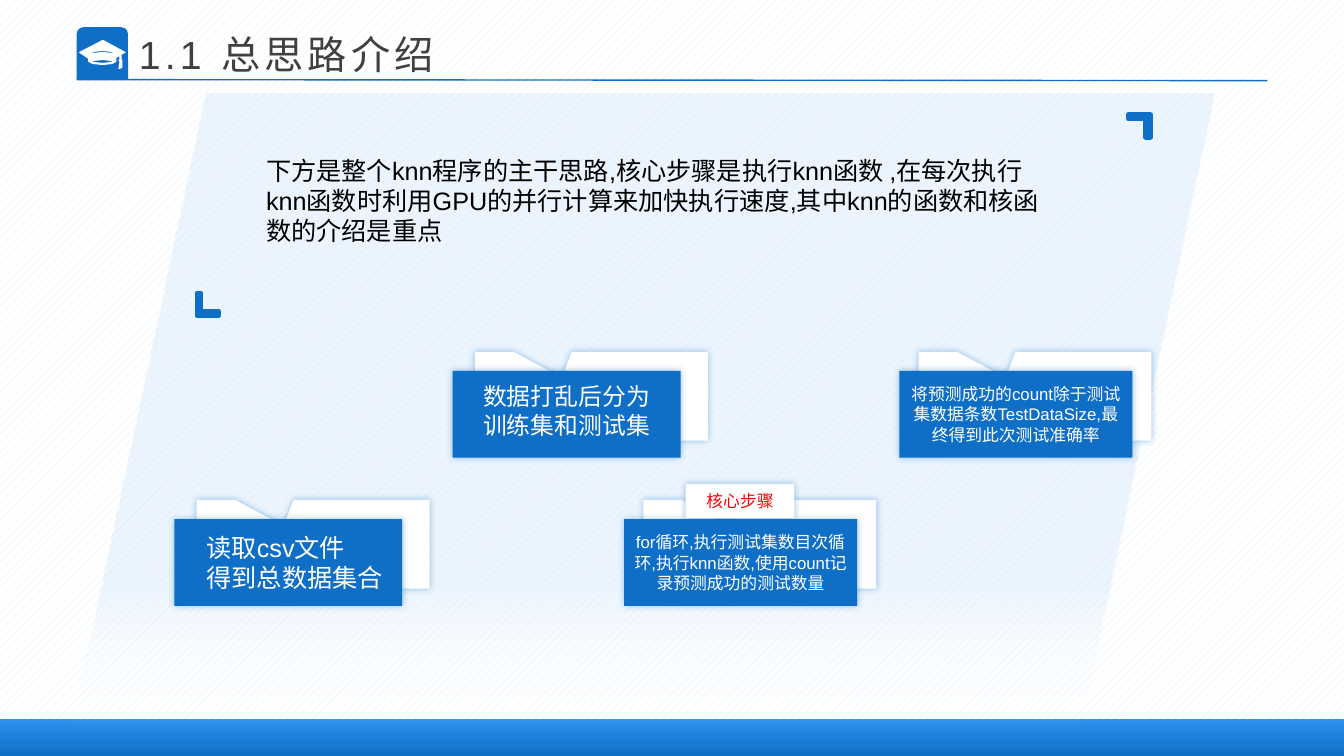
from dataclasses import dataclass

from lxml import etree
from pptx import Presentation
from pptx.dml.color import RGBColor
from pptx.enum.dml import MSO_PATTERN
from pptx.enum.shapes import MSO_CONNECTOR, MSO_SHAPE
from pptx.enum.text import MSO_ANCHOR, MSO_AUTO_SIZE, PP_ALIGN
from pptx.oxml.ns import qn
from pptx.util import Inches, Pt

RECT = MSO_SHAPE.RECTANGLE
TAB = MSO_SHAPE.ROUND_2_SAME_RECTANGLE
SLANT = MSO_SHAPE.PARALLELOGRAM
CALLOUT = MSO_SHAPE.RECTANGULAR_CALLOUT
CORNER = MSO_SHAPE.CORNER
STRAIGHT = MSO_CONNECTOR.STRAIGHT
DOTS = MSO_PATTERN.PERCENT_20
LEFT, CENTER = PP_ALIGN.LEFT, PP_ALIGN.CENTER
TOP, MIDDLE = MSO_ANCHOR.TOP, MSO_ANCHOR.MIDDLE
GROW = MSO_AUTO_SIZE.SHAPE_TO_FIT_TEXT

# Callout tips: inside the plate it cuts a notch, on the edge it leaves it whole
NOTCHED = (-0.127, -0.208)
WHOLE_LEFT = (-0.5, 0.083)
WHOLE_TOP = (-0.127, -0.5)


@dataclass(frozen=True)
class Theme:
    font: str = "Arial"
    blue: str = "0F6FC6"
    bright: str = "2D93EF"
    pale: str = "C5E1FB"
    dots: str = "DBEFF9"
    white: str = "FFFFFF"
    black: str = "000000"
    gray: str = "404040"
    red: str = "FF0000"
    title: float = 28
    body: float = 18
    step: float = 17
    small: float = 12


THEME = Theme()

# Graduation cap outlines, in hundredths of an inch
CAP = [
    [(120, 59), (120, 54), (124, 52), (102, 40), (79, 52), (88, 58), (88, 61),
     (92, 63), (102, 64), (111, 63), (115, 61), (115, 57), (119, 55), (119, 59),
     (118, 60), (120, 61), (121, 60)],
    [(102, 63), (93, 62), (90, 61), (93, 60), (102, 59), (110, 60), (114, 61),
     (110, 62)],
    [(115, 55), (110, 53), (102, 52), (93, 53), (88, 55), (88, 54), (93, 51),
     (102, 50), (110, 51), (115, 54)],
    [(119, 61), (118, 68), (121, 67), (121, 61)],
]


def rgb(color):
    return RGBColor.from_string(color)


def add_node(parent, tag, **attributes):
    return etree.SubElement(
        parent, qn(tag), {key: str(value) for key, value in attributes.items()})


def add_color(parent, color, alpha):
    node = add_node(parent, "a:srgbClr", val=color)
    if alpha < 100:
        add_node(node, "a:alpha", val=alpha * 1000)


def add_block(page, kind, box, fill=None, adjust=(), line=None):
    """Preset shape; line is a width in points, in the fill colour."""
    shape = page.shapes.add_shape(kind, *map(Inches, box))
    shape.shadow.inherit = False
    for index, value in enumerate(adjust):
        shape.adjustments[index] = value
    if fill:
        shape.fill.solid()
        shape.fill.fore_color.rgb = rgb(fill)
    if line:
        shape.line.color.rgb = rgb(fill)
        shape.line.width = Pt(line)
    else:
        shape.line.fill.background()
    return shape


def set_gradient(shape, stops, angle):
    """Stops are (position, colour, opacity), all in percent."""
    shape.fill.gradient()
    gradient = shape._element.spPr.find(qn("a:gradFill"))
    for child in list(gradient):
        gradient.remove(child)
    stop_list = add_node(gradient, "a:gsLst")
    for position, color, alpha in stops:
        add_color(add_node(stop_list, "a:gs", pos=position * 1000), color, alpha)
    add_node(gradient, "a:lin", ang=angle * 60000, scaled=0)


def set_text(shape, text, size, color, align=LEFT, anchor=TOP, spacing=0):
    frame = shape.text_frame
    frame.word_wrap = True
    frame.vertical_anchor = anchor
    frame.text = text
    for para in frame.paragraphs:
        para.alignment = align
        for span in para.runs:
            span.font.name = THEME.font
            span.font.size = Pt(size)
            span.font.color.rgb = rgb(color)
            if spacing:
                span.font._element.set("spc", str(spacing * 100))


def add_label(page, box, text, size, color, align=LEFT, spacing=0):
    label = page.shapes.add_textbox(*map(Inches, box))
    set_text(label, text, size, color, align, spacing=spacing)
    label.text_frame.auto_size = GROW


def add_plate(page, box, fill, tip):
    """Callout plate with a soft blue glow."""
    plate = add_block(page, CALLOUT, box, fill, tip)
    effects = plate._element.spPr.find(qn("a:effectLst"))
    glow = add_node(effects, "a:outerShdw", blurRad=Pt(5), dist=0, dir=0,
                    algn="ctr", rotWithShape=0)
    add_color(glow, THEME.blue, 40)
    return plate


def add_step(page, left, top, width, shift):
    """Notched white plate behind a whole blue one; returns the blue one."""
    add_plate(page, (left + shift, top - 0.19, 2.31, 0.88), THEME.white, NOTCHED)
    return add_plate(page, (left, top, width, 0.86), THEME.blue, WHOLE_LEFT)


def add_cap(page):
    start, *rest = CAP[0]
    builder = page.shapes.build_freeform(*start, scale=Inches(0.01))
    builder.add_line_segments(rest)
    for start, *rest in CAP[1:]:
        builder.move_to(*start)
        builder.add_line_segments(rest)
    cap = builder.convert_to_shape()
    cap.shadow.inherit = False
    cap.fill.solid()
    cap.fill.fore_color.rgb = rgb(THEME.white)
    cap.line.color.rgb = rgb(THEME.white)
    cap.line.width = Pt(0.75)


def add_rule(page, start, end):
    rule = page.shapes.add_connector(STRAIGHT, *map(Inches, start + end))
    rule.line.color.rgb = rgb(THEME.blue)
    rule.line.width = Pt(1)
    add_node(rule._element.spPr, "a:effectLst")


def add_backdrop(page):
    paper = add_block(page, RECT, (0, 0, 13.33, 7.5))
    paper.fill.patterned()
    paper.fill.pattern = DOTS
    paper.fill.fore_color.rgb = rgb(THEME.dots)
    paper.fill.back_color.rgb = rgb(THEME.white)
    add_block(page, TAB, (0.76, 0.27, 0.51, 0.52), THEME.blue, (0.13, 0))
    footer = add_block(page, RECT, (0, 7.13, 13.33, 0.37))
    set_gradient(footer, [(0, THEME.blue, 100), (100, THEME.bright, 100)], 270)
    add_cap(page)
    add_rule(page, (0.76, 0.79), (12.57, 0.8))
    panel = add_block(page, SLANT, (0.72, 0.93, 11.33, 6.3), adjust=(0.212,))
    set_gradient(panel, [(77, THEME.pale, 33), (100, THEME.white, 0)], 90)


def main():
    deck = Presentation()
    deck.slide_width, deck.slide_height = Inches(13.33), Inches(7.5)
    page = deck.slides.add_slide(deck.slide_layouts[6])
    add_backdrop(page)

    # Title and introduction between two corner marks
    add_label(page, (1.28, 0.25, 7.3, 1), "1.1 总思路介绍",
              THEME.title, THEME.gray, spacing=3)
    for left, top, turn, line in ((1.95, 2.91, 0, 3), (11.19, 1.14, 180, 3.5)):
        mark = add_block(page, CORNER, (left, top, 0.22, 0.22), THEME.blue,
                         (0.182, 0.207), line)
        mark.rotation = turn
    add_label(page, (2.54, 1.49, 8.08, 1.01),
              "下方是整个knn程序的主干思路,核心步骤是执行knn函数 ,在每次执行knn函数时"
              "利用GPU的并行计算来加快执行速度,其中knn的函数和核函数的介绍是重点",
              THEME.body, THEME.black)

    # Steps with a separate label
    add_step(page, 1.73, 5.15, 2.26, 0.22)
    add_label(page, (1.95, 5.23, 1.96, 0.71), "读取csv文件\n得到总数据集合",
              THEME.body, THEME.white)
    add_step(page, 4.49, 3.68, 2.26, 0.22)
    add_label(page, (4.6, 3.74, 2.04, 0.67), "数据打乱后分为训练集和测试集",
              THEME.step, THEME.white, CENTER)

    # Steps with text inside the plate
    for left, top, text in (
        (6.19, 5.15, "for循环,执行测试集数目次循环,执行knn函数,使用count记录预测成功的测试数量"),
        (8.92, 3.68, "将预测成功的count除于测试集数据条数TestDataSize,最终得到此次测试准确率"),
    ):
        plate = add_step(page, left, top, 2.31, 0.19)
        set_text(plate, text, THEME.small, THEME.white, CENTER, MIDDLE)
    tag = add_plate(page, (6.8, 4.8, 1.08, 0.34), THEME.white, WHOLE_TOP)
    set_text(tag, "核心步骤", THEME.small, THEME.red, CENTER, MIDDLE)

    deck.save("out.pptx")


if __name__ == "__main__":
    main()
